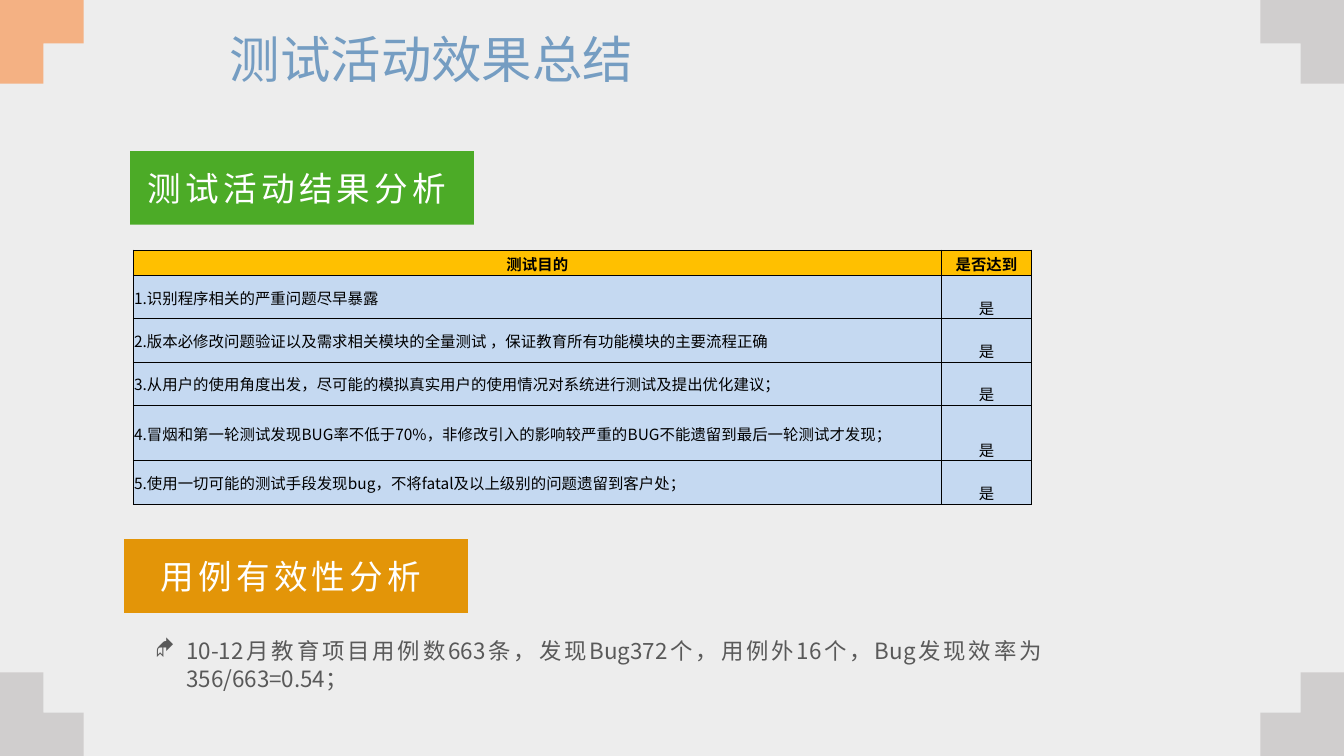
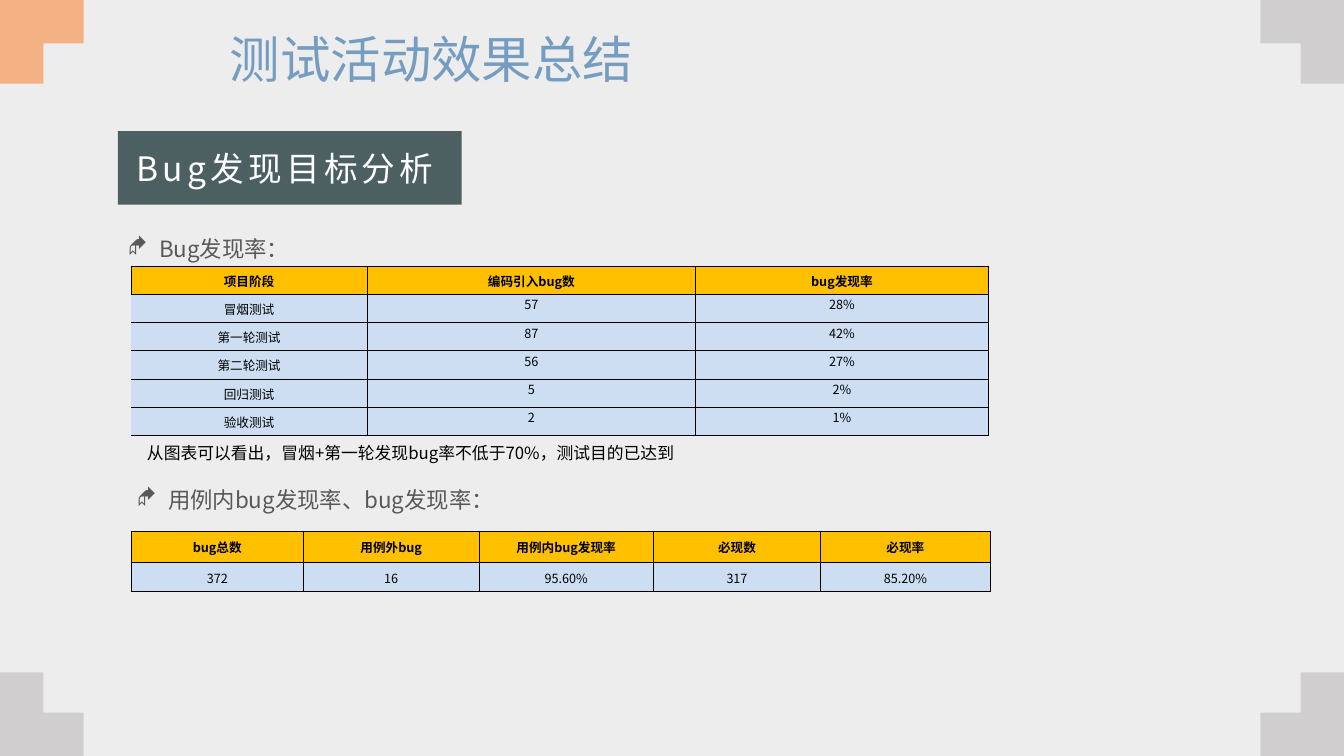
from dataclasses import dataclass

from lxml.etree import SubElement
from pptx import Presentation
from pptx.dml.color import RGBColor
from pptx.enum.shapes import MSO_SHAPE as Preset
from pptx.enum.text import MSO_ANCHOR as Anchor, MSO_AUTO_SIZE as AutoSize, PP_ALIGN as Align
from pptx.oxml import parse_xml
from pptx.oxml.ns import nsdecls, qn
from pptx.util import Inches, Pt


@dataclass(frozen=True)
class Theme:
    """Colours, type sizes and the font shared by all slides."""

    font: str = "Noto Sans CJK SC"
    background: str = "EDEDED"
    corner: str = "D0CECE"
    corner_accent: str = "F4B183"
    title: str = "759DC2"
    body: str = "595959"
    black: str = "000000"
    white: str = "FFFFFF"
    green: str = "4CAB27"
    orange: str = "E39508"
    slate: str = "4C6062"
    header_fill: str = "FFC000"
    goal_fill: str = "C5D9F1"
    bug_fill: str = "CDDEF3"
    title_size: int = 36
    banner_size: int = 24
    bullet_size: int = 16
    caption_size: int = 12
    goal_size: int = 11
    bug_size: int = 9


THEME = Theme()
SLIDE_WIDTH, SLIDE_HEIGHT = 13.33, 7.5
CENTRED = (Align.CENTER, Anchor.MIDDLE)
TITLE = "测试活动效果总结"

GOALS = [
    ("测试目的", "是否达到"),
    ("1.识别程序相关的严重问题尽早暴露", "是"),
    ("2.版本必修改问题验证以及需求相关模块的全量测试 ，保证教育所有功能模块的主要流程正确", "是"),
    ("3.从用户的使用角度出发，尽可能的模拟真实用户的使用情况对系统进行测试及提出优化建议；", "是"),
    ("4.冒烟和第一轮测试发现BUG率不低于70%，非修改引入的影响较严重的BUG不能遗留到最后一轮测试才发现；", "是"),
    ("5.使用一切可能的测试手段发现bug，不将fatal及以上级别的问题遗留到客户处；", "是"),
]
STAGES = [
    ("项目阶段", "编码引入bug数", "bug发现率"),
    ("冒烟测试", "57", "28%"),
    ("第一轮测试", "87", "42%"),
    ("第二轮测试", "56", "27%"),
    ("回归测试", "5", "2%"),
    ("验收测试", "2", "1%"),
]
TOTALS = [
    ("bug总数", "用例外bug", "用例内bug发现率", "必现数", "必现率"),
    ("372", "16", "95.60%", "317", "85.20%"),
]


def apply_format(target, **values):
    """Set every given attribute on the target."""
    for name, value in values.items():
        setattr(target, name, value)


def paint(shape, colour):
    """Give a shape a flat fill without line or shadow."""
    shape.fill.solid()
    shape.fill.fore_color.rgb = RGBColor.from_string(colour)
    shape.line.fill.background()
    shape.shadow.inherit = False


def write_text(frame, text, size, colour, align=Align.LEFT, bold=False, spacing=None):
    """Write one formatted paragraph into a text frame and return it."""
    paragraph = frame.paragraphs[0]
    paragraph.alignment = align
    run = paragraph.add_run()
    run.text = text
    apply_format(run.font, name=THEME.font, size=Pt(size), bold=bold)
    run.font.color.rgb = RGBColor.from_string(colour)
    properties = run.font._element
    SubElement(properties, qn("a:ea")).set("typeface", THEME.font)
    if spacing:
        properties.set("spc", str(spacing * 100))
    return paragraph


def add_text(slide, box, text, size, colour, align=Align.LEFT):
    """Add a wrapping text box and return its paragraph."""
    frame = slide.shapes.add_textbox(*map(Inches, box)).text_frame
    frame.word_wrap = True
    return write_text(frame, text, size, colour, align)


def add_bullet(slide, box, text):
    """Add a justified line with a diamond bullet."""
    paragraph = add_text(slide, box, text, THEME.bullet_size, THEME.body, Align.JUSTIFY)
    paragraph.line_spacing = Pt(20)
    properties = paragraph._p.get_or_add_pPr()
    properties.set("marL", str(Inches(0.31)))
    properties.set("indent", str(-Inches(0.31)))
    SubElement(properties, qn("a:buFont")).set("typeface", "Wingdings")
    SubElement(properties, qn("a:buChar")).set("char", "◆")


def add_banner(slide, left, top, text, colour):
    """Add a coloured section heading."""
    banner = slide.shapes.add_shape(Preset.RECTANGLE, *map(Inches, (left, top, 3.41, 0.73)))
    paint(banner, colour)
    apply_format(banner.text_frame, word_wrap=False, vertical_anchor=Anchor.MIDDLE,
                 margin_left=0, margin_right=Inches(0.1))
    write_text(banner.text_frame, text, THEME.banner_size, THEME.white, Align.CENTER, spacing=3)


def set_borders(cell, open_left=False):
    """Draw thin black cell borders, with the left one optional."""
    properties = cell._tc.get_or_add_tcPr()
    for index, side in enumerate(("lnL", "lnR", "lnT", "lnB")):
        ink = f'<a:solidFill><a:srgbClr val="{THEME.black}"/></a:solidFill>'
        if open_left and side == "lnL":
            ink = "<a:noFill/>"
        border = f'<a:{side} {nsdecls("a")} w="{Pt(0.5)}">{ink}</a:{side}>'
        properties.insert(index, parse_xml(border))


def add_grid(slide, left, top, widths, heights, rows, fill, size, styles,
             header_style=CENTRED, open_left=False):
    """Add a table with a header row and one alignment and anchor per column."""
    box = (left, top, sum(widths), sum(heights))
    table = slide.shapes.add_table(len(rows), len(widths), *map(Inches, box)).table
    table.horz_banding = False
    for column, width in zip(table.columns, widths):
        column.width = Inches(width)
    for row_index, (row, height, texts) in enumerate(zip(table.rows, heights, rows)):
        row.height = Inches(height)
        header = row_index == 0
        for column_index, (cell, text) in enumerate(zip(row.cells, texts)):
            align, anchor = header_style if header else styles[column_index]
            apply_format(cell, vertical_anchor=anchor, margin_left=Inches(0.01),
                         margin_top=Inches(0.01), margin_right=Inches(0.01), margin_bottom=0)
            cell.fill.solid()
            cell.fill.fore_color.rgb = RGBColor.from_string(THEME.header_fill if header else fill)
            set_borders(cell, open_left and not header and column_index == 0)
            write_text(cell.text_frame, text, size, THEME.black, align, bold=header)


def add_corner(slide, layout, right, bottom, colour):
    """Draw one L-shaped corner and place it on the layout."""
    size, arm = 0.83, 0.43
    steps = [(0, 0), (size, 0), (size, arm), (arm, arm), (arm, size), (0, size)]
    points = [(Inches(SLIDE_WIDTH - x if right else x), Inches(SLIDE_HEIGHT - y if bottom else y))
              for x, y in steps]
    builder = slide.shapes.build_freeform(*points[0])
    builder.add_line_segments(points[1:])
    corner = builder.convert_to_shape()
    paint(corner, colour)
    layout.shapes.element.insert(2, corner.element)


def decorate_layout(slide):
    """Give the slide's layout its background and four corners."""
    layout = slide.slide_layout
    layout.background.fill.solid()
    layout.background.fill.fore_color.rgb = RGBColor.from_string(THEME.background)
    for right in (False, True):
        for bottom in (False, True):
            accent = not (right or bottom)
            add_corner(slide, layout, right, bottom, THEME.corner_accent if accent else THEME.corner)


def add_titled_slide(presentation):
    """Add a title-only slide with the shared heading."""
    slide = presentation.slides.add_slide(presentation.slide_layouts[5])
    title = slide.shapes.title
    apply_format(title, left=Inches(2.18), top=Inches(0.28), width=Inches(8.98), height=Inches(0.67))
    apply_format(title.text_frame, auto_size=AutoSize.NONE, word_wrap=True, vertical_anchor=Anchor.MIDDLE)
    write_text(title.text_frame, TITLE, THEME.title_size, THEME.title).line_spacing = 0.9
    return slide


def build_results(slide):
    """Fill the slide on test results and case effectiveness."""
    add_banner(slide, 1.29, 1.5, "测试活动结果分析", THEME.green)
    add_grid(slide, 1.32, 2.48, (8.02, 0.89), (0.25, 0.43, 0.43, 0.43, 0.55, 0.43), GOALS,
             THEME.goal_fill, THEME.goal_size,
             [(Align.LEFT, Anchor.MIDDLE), (Align.CENTER, Anchor.BOTTOM)],
             header_style=(Align.CENTER, Anchor.BOTTOM))
    add_banner(slide, 1.23, 5.35, "用例有效性分析", THEME.orange)
    add_bullet(slide, (1.44, 6.26, 8.99, 0.64),
               "10-12月教育项目用例数663条，发现Bug372个，用例外16个，Bug发现效率为356/663=0.54；")


def build_bug_goals(slide):
    """Fill the slide on bug discovery goals."""
    add_banner(slide, 1.17, 1.3, "Bug发现目标分析", THEME.slate)
    add_bullet(slide, (1.17, 2.27, 8.77, 0.37), "Bug发现率：")
    top_centred = (Align.CENTER, Anchor.TOP)
    add_grid(slide, 1.3, 2.64, (2.34, 3.26, 2.9), [0.28] * len(STAGES), STAGES, THEME.bug_fill,
             THEME.bug_size, [CENTRED, top_centred, top_centred], open_left=True)
    add_text(slide, (1.36, 4.34, 8.44, 0.3), "从图表可以看出，冒烟+第一轮发现bug率不低于70%，测试目的已达到",
             THEME.caption_size, THEME.black)
    add_bullet(slide, (1.26, 4.76, 8.5, 0.37), "用例内bug发现率、bug发现率：")
    add_grid(slide, 1.3, 5.27, (1.71, 1.74, 1.73, 1.66, 1.68), (0.31, 0.29), TOTALS,
             THEME.bug_fill, THEME.bug_size, [CENTRED] * 5)


def main():
    """Build and save the presentation."""
    presentation = Presentation()
    apply_format(presentation, slide_width=Inches(SLIDE_WIDTH), slide_height=Inches(SLIDE_HEIGHT))
    results, bug_goals = (add_titled_slide(presentation) for _ in range(2))
    decorate_layout(results)
    build_results(results)
    build_bug_goals(bug_goals)
    presentation.save("out.pptx")


if __name__ == "__main__":
    main()
